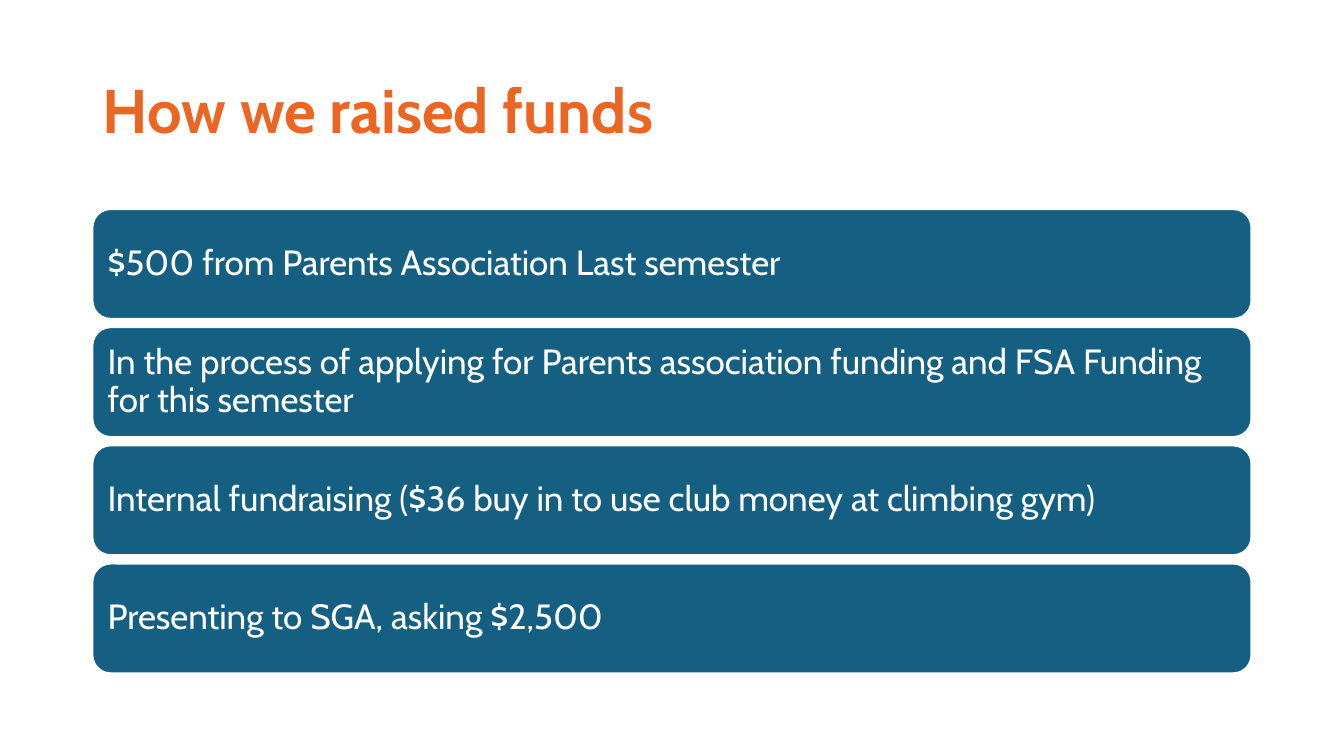
import pptx
import pptx.util
import pptx.dml.color
import pptx.enum.shapes
import pptx.enum.text
from dataclasses import dataclass

Pt = pptx.util.Pt


@dataclass(frozen=True)
class Theme:
    font: str = "Cabin"
    orange: str = "EB6623"
    blue: str = "156082"
    white: str = "FFFFFF"
    title_size: float = 44
    body_size: float = 25


theme = Theme()


def write_text(shape, text, *, size, color, bold=False):
    frame = shape.text_frame
    frame.word_wrap = True
    frame.auto_size = pptx.enum.text.MSO_AUTO_SIZE.NONE
    frame.vertical_anchor = pptx.enum.text.MSO_ANCHOR.MIDDLE
    para = frame.paragraphs[0]
    para.alignment = pptx.enum.text.PP_ALIGN.LEFT
    para.line_spacing = 0.9
    span = para.add_run()
    span.text = text
    span.font.name = theme.font
    span.font.size = Pt(size)
    span.font.bold = bold
    span.font.color.rgb = pptx.dml.color.RGBColor.from_string(color)


# Slide
deck = pptx.Presentation()
deck.slide_width, deck.slide_height = Pt(960), Pt(540)
page = deck.slides.add_slide(deck.slide_layouts.get_by_name("Title Only"))

left, width = 66, 828

# Title
title = page.shapes.title
title.left, title.top, title.width, title.height = Pt(left), Pt(28.75), Pt(width), Pt(104.4)
write_text(title, "How we raised funds", size=theme.title_size, color=theme.orange, bold=True)

# Stack of funding sources
sources = [
    "$500 from Parents Association Last semester",
    "In the process of applying for Parents association funding and FSA Funding for this semester",
    "Internal fundraising ($36 buy in to use club money at climbing gym)",
    "Presenting to SGA, asking $2,500",
]
first_top, bar_height, pitch = 149.3, 78.5, 84.4
for index, source in enumerate(sources):
    bar = page.shapes.add_shape(
        pptx.enum.shapes.MSO_SHAPE.ROUNDED_RECTANGLE,
        Pt(left), Pt(first_top + index * pitch), Pt(width), Pt(bar_height),
    )
    bar.shadow.inherit = False
    bar.fill.solid()
    bar.fill.fore_color.rgb = pptx.dml.color.RGBColor.from_string(theme.blue)
    bar.line.color.rgb = pptx.dml.color.RGBColor.from_string(theme.white)
    bar.line.width = Pt(1.5)
    write_text(bar, source, size=theme.body_size, color=theme.white)

deck.save("out.pptx")
